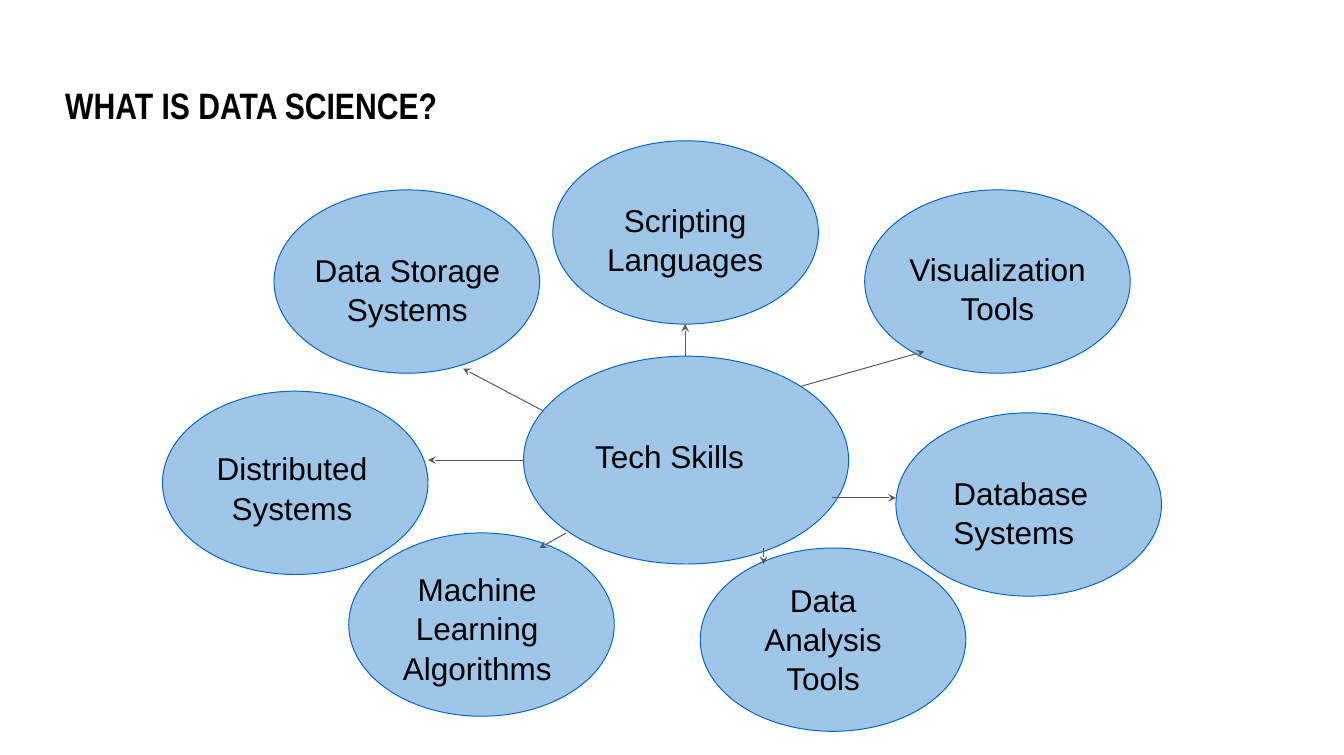
from lxml import etree
from pptx import Presentation
from pptx import util as u
from pptx.dml.color import RGBColor
from pptx.enum import shapes, text
from pptx.oxml import ns

BLACK = RGBColor(0x00, 0x00, 0x00)
BUBBLE_FILL = RGBColor(0x9F, 0xC5, 0xE8)
BUBBLE_LINE = RGBColor(0x03, 0x65, 0xC0)
ARROW_GREY = RGBColor(0x53, 0x58, 0x5F)

LEFT, CENTER = text.PP_ALIGN.LEFT, text.PP_ALIGN.CENTER
HUB_SIZE = (247.7, 158.4)
SKILL_SIZE = (202.3, 139.7)
WIDE, NARROW = 7.2, 3.6  # vertical text insets

# lines, bubble position, label box, alignment, vertical inset
SKILLS = [
    (["Data Storage", "Systems"], (208.8, 144.7), (218.2, 182.9, 184.3, 64.8), CENTER, WIDE),
    (["Scripting", "Languages"], (421.2, 107.3), (439.2, 144.7, 165.6, 64.8), CENTER, WIDE),
    (["Visualization", "Tools"], (658.8, 144.7), (658.8, 182.2, 202.3, 64.8), CENTER, WIDE),
    (["Distributed", "Systems"], (123.8, 298.1), (139.7, 334.1, 165.6, 64.8), CENTER, WIDE),
    (["Database", "Systems"], (682.6, 314.6), (719.3, 352.8, 165.6, 64.8), LEFT, WIDE),
    (["Machine", "Learning", "Algorithms"], (265.7, 406.1), (288, 429.8, 151.2, 113), CENTER, NARROW),
    (["Data Analysis Tools"], (533.5, 417.6), (550.1, 437.8, 154.1, 86.4), CENTER, NARROW),
]

# start x, start y, end x, end y
ARROWS = [
    (522, 271.4, 522, 247),
    (414, 313.2, 352.8, 280.8),
    (609.8, 294.5, 704.2, 267.8),
    (633.6, 379.4, 682.6, 379.4),
    (398.9, 350.6, 326.2, 350.6),
    (431.3, 406.1, 411.1, 417.6),
    (581.8, 417.6, 581.8, 429.8),
]


def points(values):
    return [u.Pt(value) for value in values]


def set_insets(frame, horizontal, vertical):
    frame.margin_left = frame.margin_right = u.Pt(horizontal)
    frame.margin_top = frame.margin_bottom = u.Pt(vertical)


def add_run(paragraph, words, font_name, size, bold=False):
    run = paragraph.add_run()
    run.text = words
    run.font.name = font_name
    run.font.size = u.Pt(size)
    run.font.bold = bold
    run.font.color.rgb = BLACK


def set_title(slide, words):
    title = slide.shapes.title
    title.left, title.top, title.width, title.height = points((49.7, 58.3, 607.7, 33.8))
    frame = title.text_frame
    set_insets(frame, 0, 0)
    frame.word_wrap = True
    frame.auto_size = text.MSO_AUTO_SIZE.NONE
    frame.vertical_anchor = text.MSO_ANCHOR.TOP
    paragraph = frame.paragraphs[0]
    paragraph.alignment = LEFT
    paragraph.line_spacing = 1.14
    paragraph.space_before = u.Pt(0)
    add_run(paragraph, words, "Arial Narrow", 28, bold=True)


def add_bubble(slide, position, size):
    shape = slide.shapes.add_shape(shapes.MSO_SHAPE.OVAL, *points(position + size))
    shape.shadow.inherit = False
    shape.fill.solid()
    shape.fill.fore_color.rgb = BUBBLE_FILL
    shape.line.color.rgb = BUBBLE_LINE
    shape.line.width = u.Pt(0.75)


def add_label(slide, lines, box, alignment, inset):
    frame = slide.shapes.add_textbox(*points(box)).text_frame
    frame.word_wrap = True
    set_insets(frame, 7.2, inset)
    for index, line in enumerate(lines):
        paragraph = frame.add_paragraph() if index else frame.paragraphs[0]
        paragraph.alignment = alignment
        paragraph.line_spacing = 1.04
        add_run(paragraph, line, "Arial", 24)


def add_arrow(slide, ends):
    arrow = slide.shapes.add_connector(shapes.MSO_CONNECTOR.STRAIGHT, *points(ends))
    arrow.line.color.rgb = ARROW_GREY
    arrow.line.width = u.Pt(0.75)
    etree.SubElement(arrow.line._get_or_add_ln(), ns.qn("a:tailEnd"), type="stealth")
    etree.SubElement(arrow._element.spPr, ns.qn("a:effectLst"))


def main():
    presentation = Presentation()
    presentation.slide_width, presentation.slide_height = points((1024, 575.3))
    slide = presentation.slides.add_slide(presentation.slide_layouts[5])
    set_title(slide, "WHAT IS DATA SCIENCE?")

    # Central bubble
    add_bubble(slide, (398.9, 271.4), HUB_SIZE)
    add_label(slide, ["Tech Skills"], (446.4, 324.7, 271.4, 81.4), LEFT, WIDE)

    # Skills around it
    for lines, position, box, alignment, inset in SKILLS:
        add_bubble(slide, position, SKILL_SIZE)
        add_label(slide, lines, box, alignment, inset)

    # Arrows from the centre
    for ends in ARROWS:
        add_arrow(slide, ends)

    presentation.save("out.pptx")


if __name__ == "__main__":
    main()
